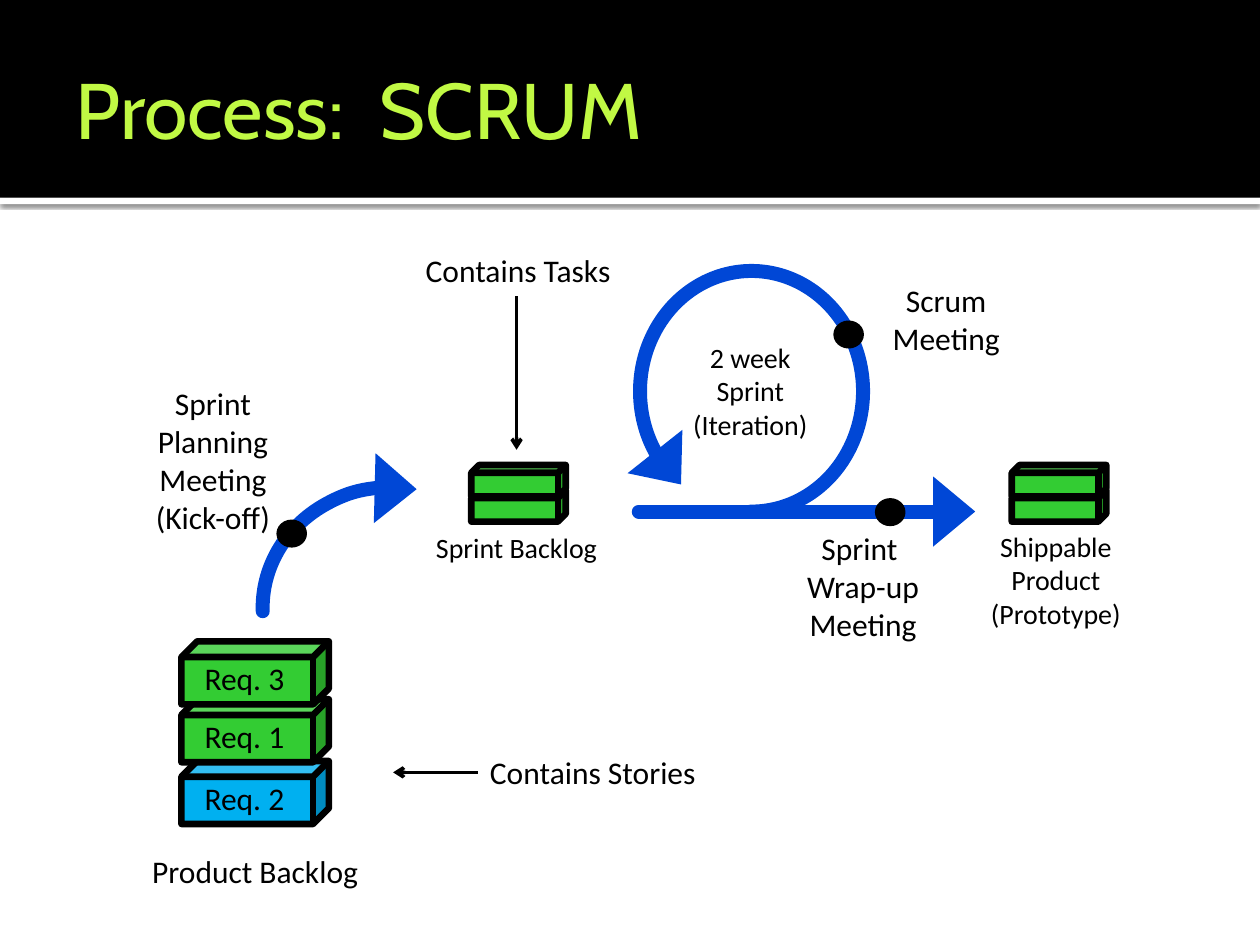
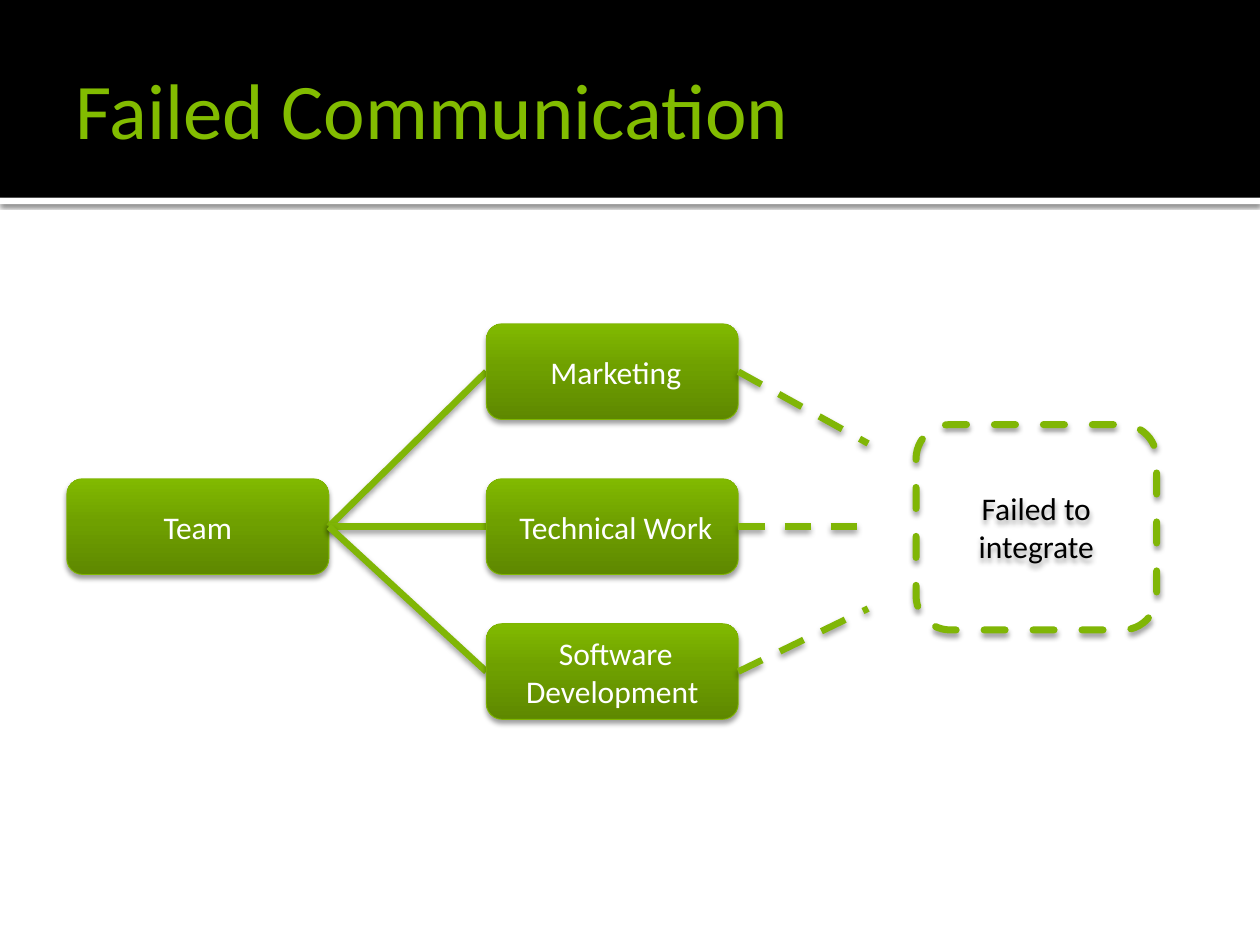
from copy import deepcopy

from lxml import etree
from pptx import Presentation
from pptx.dml.color import RGBColor
from pptx.enum.dml import MSO_LINE
from pptx.enum.shapes import MSO_CONNECTOR, MSO_SHAPE
from pptx.enum.text import MSO_ANCHOR, MSO_AUTO_SIZE, PP_ALIGN
from pptx.oxml.ns import qn
from pptx.util import Inches, Pt

COLUMNS, ROWS = 10, 7.5  # grid of one-inch cells
BODY_FONT, TITLE_FONT = "Calibri", "Cabin"
BLACK, WHITE = "000000", "FFFFFF"
FLOW_BLUE, STORY_BLUE, STORY_GREEN = "0047D6", "00B0F0", "33CC33"
LINK_GREEN, BOX_EDGE = "80B606", "7FB602"
BOX_GRADIENT = [(0, "5E8800"), (0.55, "6FA000"), (1, "81BA00")]
EDGE = 3.78
BOX_SHADOW = (38, 3.1, 2)
LINK_SHADOW = (38, 3.5, 2)


def rgb(color):
    return RGBColor.from_string(color)


def cells(*lengths):
    return [Inches(length) for length in lengths]


def add_xml(parent, tag, **attributes):
    return etree.SubElement(parent, qn(tag), attributes)


def set_shadow(item, shadow):
    """Give a downward shadow of (opacity, blur, distance), or none."""
    properties = item.element.spPr
    effects = properties.find(qn("a:effectLst"))
    if effects is None:
        effects = add_xml(properties, "a:effectLst")
    if shadow:
        opacity, blur, distance = shadow
        outer = add_xml(effects, "a:outerShdw", blurRad=str(Pt(blur)), dist=str(Pt(distance)),
                        dir="5400000", algn="ctr", rotWithShape="0")
        color = add_xml(outer, "a:srgbClr", val=BLACK)
        add_xml(color, "a:alpha", val=str(opacity * 1000))


def set_line(line, color, width, dash=False):
    line.color.rgb = rgb(color)
    line.width = Pt(width)
    if dash:
        line.dash_style = MSO_LINE.DASH


def set_ends(item, head=None, tail=None, width="med", cap="flat"):
    outline = item.element.spPr.find(qn("a:ln"))
    outline.set("cap", cap)
    for tag, arrow in (("a:headEnd", head), ("a:tailEnd", tail)):
        if arrow:
            add_xml(outline, tag, type=arrow, w=width, len="med")


def add_run(paragraph, text, size, color, font=BODY_FONT):
    run = paragraph.add_run()
    run.text = text
    run.font.size = Pt(size)
    run.font.name = font
    run.font.color.rgb = rgb(color)
    return run


def write(frame, lines, size, color, align):
    for number, line in enumerate(lines):
        paragraph = frame.add_paragraph() if number else frame.paragraphs[0]
        paragraph.alignment = align
        add_run(paragraph, line, size, color)


def add_shape(slide, kind, place, fill=None, edge=None, width=EDGE, dash=False, shadow=None):
    shape = slide.shapes.add_shape(kind, *cells(*place))
    if fill:
        shape.fill.solid()
        shape.fill.fore_color.rgb = rgb(fill)
    else:
        shape.fill.background()
    if edge:
        set_line(shape.line, edge, width, dash)
    else:
        shape.line.fill.background()
    shape.shadow.inherit = False
    set_shadow(shape, shadow)
    return shape


def add_link(slide, start, end, color, width, dash=False, shadow=None):
    link = slide.shapes.add_connector(MSO_CONNECTOR.STRAIGHT, *cells(*start, *end))
    set_line(link.line, color, width, dash)
    set_shadow(link, shadow)
    return link


def add_label(slide, place, *lines, size=18, align=PP_ALIGN.CENTER, wrap=True):
    frame = slide.shapes.add_textbox(*cells(*place)).text_frame
    frame.word_wrap = wrap
    frame.auto_size = MSO_AUTO_SIZE.SHAPE_TO_FIT_TEXT
    write(frame, lines, size, BLACK, align)


def add_cube(slide, place, fill):
    add_shape(slide, MSO_SHAPE.CUBE, place, fill, BLACK)


def add_stack(slide, left):
    for top in (3.89, 3.69):
        add_cube(slide, (left, top, 0.75, 0.25), STORY_GREEN)


def add_meeting_dot(slide, left, top):
    add_shape(slide, MSO_SHAPE.OVAL, (left, top, 0.19, 0.17), BLACK, BLACK)


def add_flow_arc(slide, place, sweep, **arrows):
    arc = add_shape(slide, MSO_SHAPE.ARC, place, edge=FLOW_BLUE, width=8)
    arc.rotation = 270
    arc.adjustments[0], arc.adjustments[1] = sweep
    set_ends(arc, width="lg", cap="rnd", **arrows)


def add_pointer(slide, start, end):
    set_ends(add_link(slide, start, end, BLACK, 2), tail="arrow")


def add_team_box(slide, place, name):
    box = add_shape(slide, MSO_SHAPE.ROUNDED_RECTANGLE, place, edge=BOX_EDGE, width=0.5,
                    shadow=BOX_SHADOW)
    box.fill.gradient()
    box.fill.gradient_angle = 90
    stop_list = box.element.spPr.find(".//" + qn("a:gsLst"))
    stop_list.insert(1, deepcopy(stop_list[0]))
    for stop, (position, color) in zip(box.fill.gradient_stops, BOX_GRADIENT):
        stop.position = position
        stop.color.rgb = rgb(color)
    box.text_frame.vertical_anchor = MSO_ANCHOR.MIDDLE
    write(box.text_frame, [name], 18, WHITE, PP_ALIGN.CENTER)


def build_layout(deck):
    """Put the header band and the title's place on the title-only layout."""
    layout = deck.slide_layouts[5]
    for holder in list(layout.placeholders):
        if holder.placeholder_format.idx:
            holder.element.getparent().remove(holder.element)
    title = layout.placeholders[0]
    title.left, title.top, title.width, title.height = cells(0.5, 0.17, 9, 1.37)
    frame = title.text_frame
    frame.vertical_anchor = MSO_ANCHOR.MIDDLE
    frame.auto_size = MSO_AUTO_SIZE.NONE
    frame.margin_left = Inches(0.1)
    frame.margin_top = frame.margin_right = frame.margin_bottom = Inches(0.05)
    return layout


def add_bands(slide, layout):
    """Draw the bands, then move them behind the layout's title."""
    rule = add_shape(slide, MSO_SHAPE.RECTANGLE, (0, 1.57, COLUMNS, 0.05), WHITE,
                     shadow=(60, 2.5, 0.8))
    header = add_shape(slide, MSO_SHAPE.RECTANGLE, (0, 0, COLUMNS, 1.57), BLACK)
    for position, band in enumerate((rule, header), start=2):
        layout.shapes.element.insert(position, band.element)


def add_title(slide, text, color, font):
    paragraph = slide.shapes.title.text_frame.paragraphs[0]
    paragraph.alignment = PP_ALIGN.LEFT
    return add_run(paragraph, text, 45, color, font)


def outline_text(run, color, width):
    outline = etree.Element(qn("a:ln"), w=str(Pt(width)))
    add_xml(add_xml(outline, "a:solidFill"), "a:srgbClr", val=color)
    run.font._element.insert(0, outline)


def build_scrum(slide):
    outline_text(add_title(slide, "Process:  SCRUM", "C1F944", TITLE_FONT), LINK_GREEN, 0.75)

    # Sprint loop
    add_flow_arc(slide, (5.01, 2.22, 1.91, 1.77), (130.267, 108.259), head="triangle")
    sprint = add_link(slide, (5.07, 4.06), (7.74, 4.06), FLOW_BLUE, 8)
    set_ends(sprint, tail="triangle", width="lg", cap="rnd")
    add_label(slide, (5.34, 2.65, 1.23, 0.91), "2 week Sprint", "(Iteration)", size=16)
    add_meeting_dot(slide, 6.64, 2.57)
    add_label(slide, (6.71, 2.18, 1.6, 0.34), "Scrum Meeting")

    # Product backlog, from the bottom up
    for story, top, fill in (("Req. 2", 6.04, STORY_BLUE), ("Req. 1", 5.55, STORY_GREEN),
                             ("Req. 3", 5.09, STORY_GREEN)):
        add_cube(slide, (1.44, top, 1.17, 0.5), fill)
        add_label(slide, (1.44, top + 0.09, 1, 0.4), story)
    add_label(slide, (1.1, 6.71, 1.85, 0.4), "Product Backlog", wrap=False)

    # Sprint backlog and the finished product
    add_stack(slide, 3.74)
    add_label(slide, (3.12, 4.16, 1.96, 0.37), "Sprint Backlog", size=16)
    add_stack(slide, 8.03)
    add_label(slide, (7.74, 4.15, 1.33, 0.91), "Shippable ", "Product ", "(Prototype) ", size=16)

    # Explanations
    add_label(slide, (3.79, 5.93, 1.85, 0.4), "Contains Stories", align=PP_ALIGN.LEFT, wrap=False)
    add_pointer(slide, (3.79, 6.13), (3.12, 6.13))
    add_label(slide, (3.28, 1.94, 1.68, 0.4), "Contains Tasks", align=PP_ALIGN.LEFT, wrap=False)
    add_pointer(slide, (4.1, 2.35), (4.1, 3.57))

    # Planning and wrap-up meetings
    add_label(slide, (0.89, 3, 1.6, 1.31), "Sprint Planning Meeting (Kick-off)")
    add_flow_arc(slide, (2.16, 3.79, 1.91, 2.06), (160.992, 6.949), tail="triangle")
    add_meeting_dot(slide, 2.22, 4.15)
    add_meeting_dot(slide, 6.97, 3.98)
    add_label(slide, (6.05, 4.15, 1.6, 1.01), "Sprint ", "Wrap-up", "Meeting")


def build_failed_communication(slide):
    add_title(slide, "Failed Communication", "82BC00", BODY_FONT)
    height, branch_left, branch_width = 0.76, 3.86, 2
    team_left, team_top, team_width = 0.53, 3.8, 2.08
    team_exit = (team_left + team_width, team_top + height / 2)

    add_team_box(slide, (team_left, team_top, team_width, height), "Team")
    for name, top, loose_end in ((" Marketing", 2.57, 3.52), (" Technical Work", 3.8, 4.18),
                                 (" Software Development", 4.95, 4.83)):
        middle = top + height / 2
        add_link(slide, team_exit, (branch_left, middle), LINK_GREEN, EDGE, shadow=LINK_SHADOW)
        add_team_box(slide, (branch_left, top, branch_width, height), name)
        add_link(slide, (branch_left + branch_width, middle), (6.89, loose_end), LINK_GREEN, EDGE,
                 dash=True, shadow=LINK_SHADOW)

    failure = add_shape(slide, MSO_SHAPE.ROUNDED_RECTANGLE, (7.27, 3.37, 1.91, 1.63),
                        edge=LINK_GREEN, width=4, dash=True, shadow=BOX_SHADOW)
    set_ends(failure, cap="rnd")
    failure.text_frame.vertical_anchor = MSO_ANCHOR.MIDDLE
    write(failure.text_frame, ["Failed to integrate"], 18, BLACK, PP_ALIGN.CENTER)


def main():
    deck = Presentation()
    deck.slide_width, deck.slide_height = cells(COLUMNS, ROWS)
    layout = build_layout(deck)
    scrum, failed = (deck.slides.add_slide(layout) for _ in range(2))
    add_bands(scrum, layout)
    build_scrum(scrum)
    build_failed_communication(failed)
    deck.save("out.pptx")


if __name__ == "__main__":
    main()
